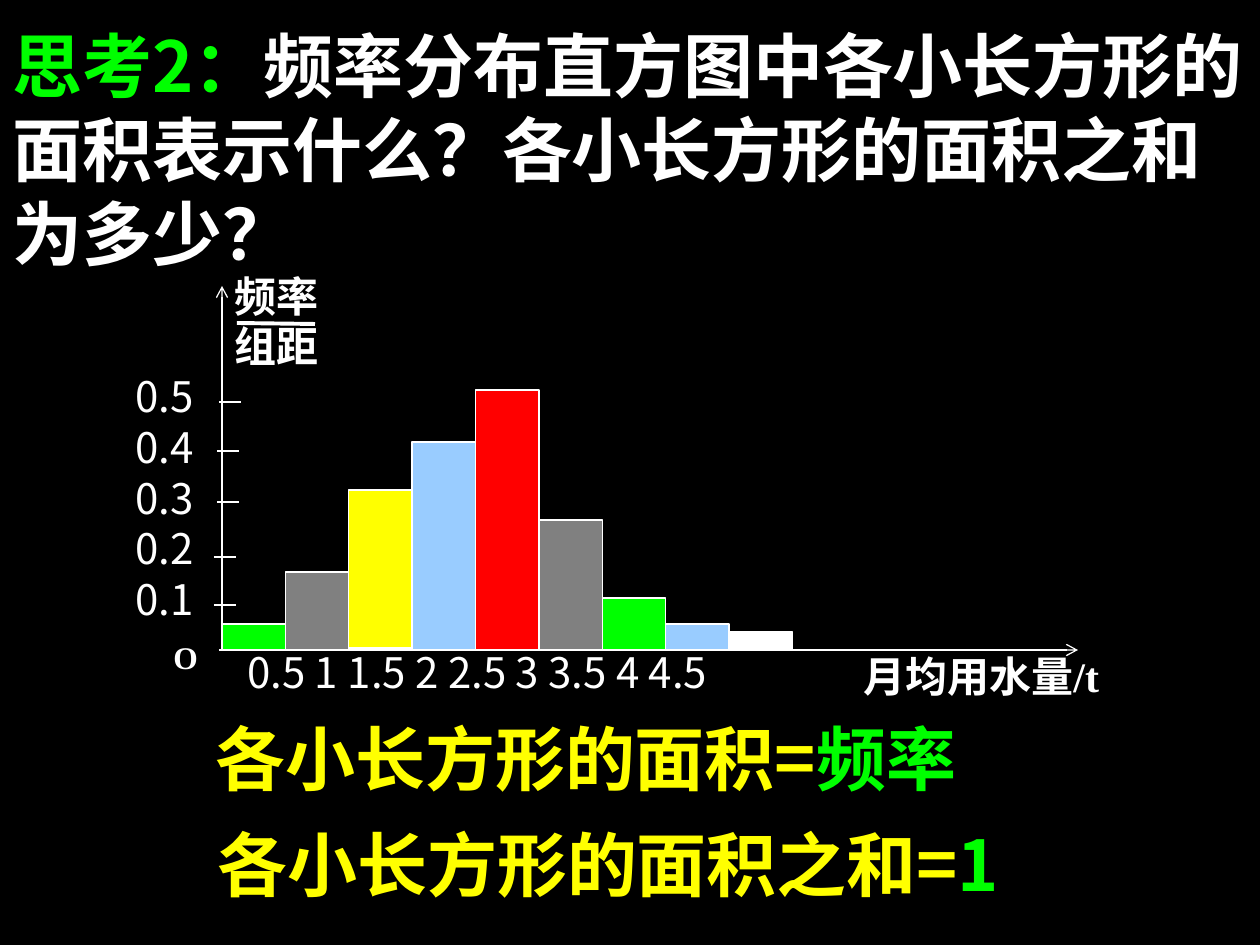
from typing import NamedTuple

from pptx import Presentation
from pptx.dml.color import RGBColor
from pptx.enum.shapes import MSO_CONNECTOR, MSO_SHAPE
from pptx.enum.text import MSO_ANCHOR, MSO_AUTO_SIZE, PP_ALIGN
from pptx.oxml.ns import qn
from pptx.util import Emu, Pt

EMU_PER_PX = 914400 / 126
SANS, SERIF = "Noto Sans CJK SC", "Times New Roman"
WHITE, GREEN, YELLOW = "FFFFFF", "00FF00", "FFFF00"
RED, BLUE, GREY = "FF0000", "99CCFF", "808080"
AXIS_X, AXIS_Y, BAR_WIDTH = 222, 650, 63.4


class Box(NamedTuple):
    x: int
    y: int
    w: int
    h: int


class Span(NamedTuple):
    text: str
    color: str = WHITE


class Style(NamedTuple):
    size: int
    font: str
    bold: bool
    leading: float


class Label(NamedTuple):
    box: Box
    lines: list[list[Span]]
    style: Style


class Bar(NamedTuple):
    height: int
    color: str
    base: int = AXIS_Y


class Line(NamedTuple):
    x1: int
    y1: int
    x2: int
    y2: int
    width: float = 0.75
    arrow: bool = False


HEADING = Style(40, SANS, True, 48)
NUMBER = Style(24, SANS, False, 29)
AXIS_NAME = Style(24, SERIF, True, 28.5)
ORIGIN = Style(18, SERIF, True, 21)

TITLE = Label(Box(0, 16, 1260, 265), [[
    Span("思考2：", GREEN),
    Span("频率分布直方图中各小长方形的面积表示什么？各小长方形的面积之和为多少？"),
]], HEADING)
LABELS = [
    Label(Box(851, 645, 286, 78), [[Span("月均用水量/t")]], AXIS_NAME),
    Label(Box(222, 265, 127, 130), [[Span("频率")], [Span("组距")]], AXIS_NAME),
    Label(Box(123, 364, 127, 286),
          [[Span(f"0.{n}")] for n in range(5, 0, -1)], NUMBER),
    Label(Box(235, 640, 682, 78), [[Span("0.5 1 1.5 2 2.5 3 3.5 4 4.5")]], NUMBER),
    Label(Box(161, 633, 63, 78), [[Span("O")]], ORIGIN),
    Label(Box(203, 709, 873, 97),
          [[Span("各小长方形的面积=", YELLOW), Span("频率", GREEN)]], HEADING),
    Label(Box(205, 815, 853, 97),
          [[Span("各小长方形的面积之和=", YELLOW), Span("1", GREEN)]], HEADING),
]
TICKS = [(219, 402), (217, 451), (217, 502), (214, 557), (214, 605)]
LINES = [
    Line(219, AXIS_Y, 1078, AXIS_Y, arrow=True),
    Line(AXIS_X, AXIS_Y, AXIS_X, 286, arrow=True),
    Line(237, 323, 315, 324, width=2.25),
    *(Line(x, y, x + 22, y) for x, y in TICKS),
]
BARS = [
    Bar(26, GREEN), Bar(78, GREY), Bar(158, YELLOW, 648), Bar(208, BLUE),
    Bar(260, RED), Bar(130, GREY), Bar(52, GREEN), Bar(26, BLUE), Bar(18, WHITE),
]


def px(n: float) -> Emu:
    """Turn pixels into EMU."""
    return Emu(round(n * EMU_PER_PX))


def rgb(color: str) -> RGBColor:
    """Turn a hex string into a colour."""
    return RGBColor.from_string(color)


def write(sp, label: Label) -> None:
    """Place a text shape and fill it with the label's coloured runs."""
    sp.left, sp.top, sp.width, sp.height = map(px, label.box)
    style = label.style
    tf = sp.text_frame
    tf.text = "\n".join("".join(t.text for t in line) for line in label.lines)
    tf.word_wrap = True
    tf.auto_size = MSO_AUTO_SIZE.NONE
    tf.vertical_anchor = MSO_ANCHOR.TOP
    for p, line in zip(tf.paragraphs, label.lines):
        p.alignment = PP_ALIGN.LEFT
        p.line_spacing = Pt(style.leading)
        p.space_before = Pt(0)
        p.runs[0].text = line[0].text
        for span in line[1:]:
            p.add_run().text = span.text
        for r, span in zip(p.runs, line):
            r.font.size, r.font.bold, r.font.name = Pt(style.size), style.bold, style.font
            r.font.color.rgb = rgb(span.color)
            ea = r.font._element.makeelement(qn("a:ea"), {"typeface": SANS})
            r.font._element.find(qn("a:latin")).addnext(ea)


def draw_line(s, line: Line) -> None:
    """Draw a white line, with an open arrowhead if asked."""
    cx = s.shapes.add_connector(
        MSO_CONNECTOR.STRAIGHT, px(line.x1), px(line.y1), px(line.x2), px(line.y2))
    cx.line.color.rgb = rgb(WHITE)
    cx.line.width = Pt(line.width)
    if line.arrow:
        ln = cx.line._get_or_add_ln()
        ln.append(ln.makeelement(qn("a:tailEnd"), {"type": "arrow"}))
    sp_pr = cx._element.spPr
    sp_pr.append(sp_pr.makeelement(qn("a:effectLst"), {}))


def draw_bar(s, index: int, bar: Bar) -> None:
    """Draw one histogram bar standing on its base."""
    sp = s.shapes.add_shape(
        MSO_SHAPE.RECTANGLE, px(AXIS_X + index * BAR_WIDTH),
        px(bar.base - bar.height), px(BAR_WIDTH), px(bar.height))
    sp.shadow.inherit = False
    sp.fill.solid()
    sp.fill.fore_color.rgb = rgb(bar.color)
    sp.line.color.rgb = rgb(WHITE)
    sp.line.width = Pt(0.75)


def main() -> None:
    """Build the histogram slide."""
    prs = Presentation()
    prs.slide_width, prs.slide_height = px(1260), px(945)
    s = prs.slides.add_slide(prs.slide_layouts[5])
    s.background.fill.solid()
    s.background.fill.fore_color.rgb = rgb("000000")
    write(s.shapes.title, TITLE)
    for label in LABELS:
        write(s.shapes.add_textbox(*map(px, label.box)), label)
    for line in LINES:
        draw_line(s, line)
    for index, bar in enumerate(BARS):
        draw_bar(s, index, bar)
    prs.save("out.pptx")


if __name__ == "__main__":
    main()
